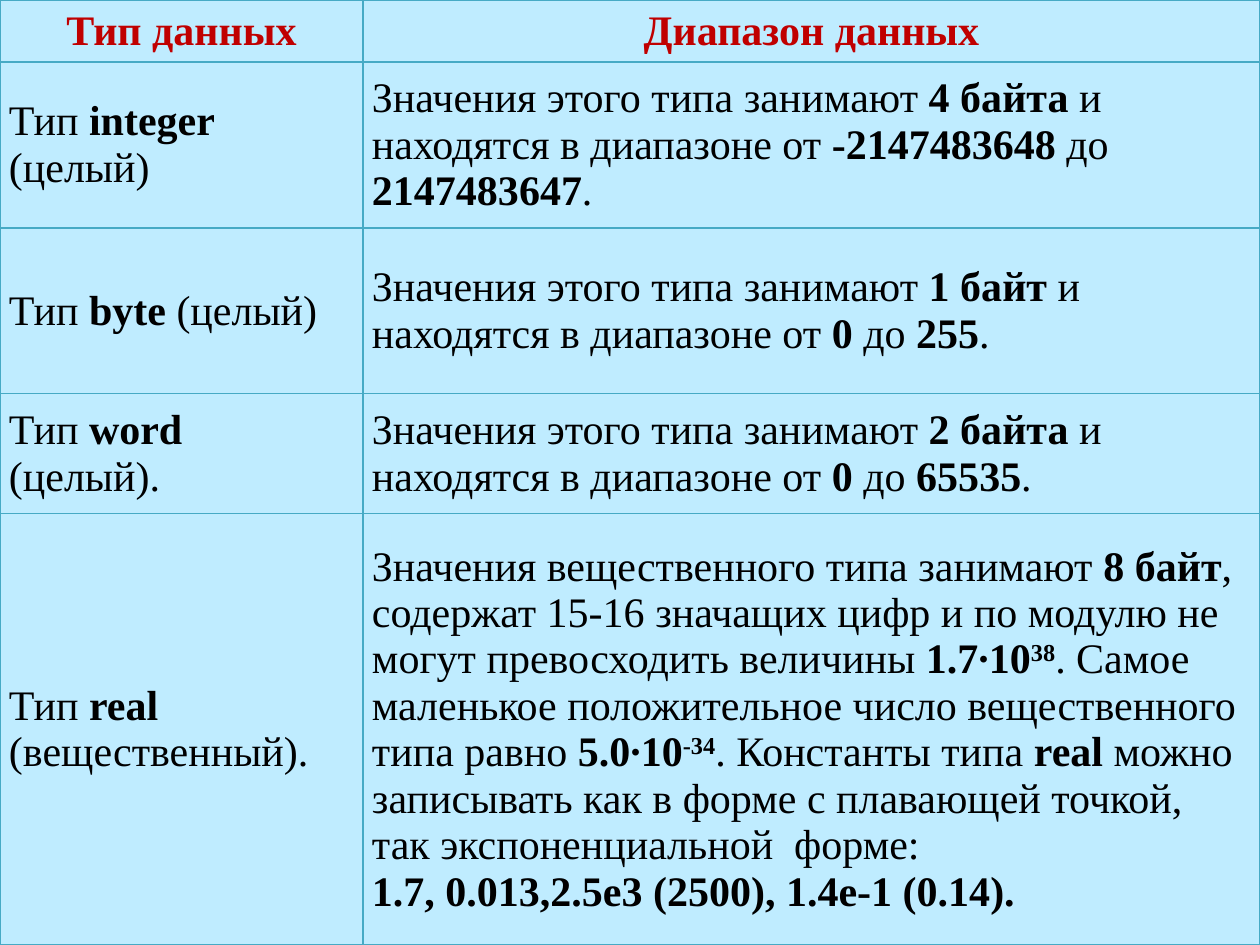
from dataclasses import dataclass

from lxml import etree
from pptx import Presentation
from pptx.dml.color import RGBColor
from pptx.enum.text import MSO_ANCHOR, PP_ALIGN
from pptx.oxml.ns import qn
from pptx.util import Pt

MIDDLE = MSO_ANCHOR.MIDDLE
LEFT, CENTER = PP_ALIGN.LEFT, PP_ALIGN.CENTER
BLANK_LAYOUT = 6
EMU_PER_PX = 914400 / 126


@dataclass(frozen=True)
class Theme:
    font: str = "Times New Roman"
    size: int = 24
    header: str = "C00000"
    text: str = "000000"
    fill: str = "BFECFF"
    border: str = "46AAC5"
    border_pt: float = 0.75


THEME = Theme()
SLIDE_W, SLIDE_H = 1260, 945
COLUMNS = [363, 897]
ROWS = [62, 166, 166, 120, 431]
MARGIN_X, MARGIN_Y = 9, 4

# Markup: *bold*, ^superscript^; a new line starts a paragraph
RANGE = "Значения этого типа занимают *{} *и находятся в диапазоне от {}."
TYPES = [
    ("*Тип данных*", "*Диапазон данных*"),
    ("Тип\u00a0*integer *(целый)",
     RANGE.format("4 байта", "*-2147483648 *до *2147483647*")),
    ("Тип\u00a0*byte *(целый)", RANGE.format("1 байт", "*0* до *255*")),
    ("Тип\u00a0*word*\n(целый).", RANGE.format("2 байта", "*0* до *65535*")),
    ("Тип\u00a0*real*\n(вещественный).",
     "Значения вещественного типа занимают *8 байт*, содержат 15-16 значащих "
     "цифр и по модулю не могут превосходить величины *1.7\u221910^38^*. "
     "Самое маленькое положительное число вещественного типа равно "
     "*5.0\u221910^-34^*. Константы типа\u00a0*real *можно записывать как в "
     "форме с плавающей точкой, так экспоненциальной \u00a0форме:\u00a0\n"
     "*1.7,\u00a00.013,2.5e3\u00a0(2500),\u00a01.4e-1\u00a0(0.14).*"),
]


def px(n):
    return round(n * EMU_PER_PX)


def add_runs(p, markup, color):
    for i, part in enumerate(markup.split("*")):
        for j, text in enumerate(part.split("^")):
            if not text:
                continue
            r = p.add_run()
            r.text = text
            r.font.name, r.font.size = THEME.font, Pt(THEME.size)
            r.font.bold = i % 2 == 1
            r.font.color.rgb = RGBColor.from_string(color)
            if j % 2:
                r.font._element.set("baseline", "30000")


def set_borders(cell):
    tcPr = cell._tc.get_or_add_tcPr()
    for i, side in enumerate(("lnL", "lnR", "lnT", "lnB")):
        ln = etree.Element(qn("a:" + side), w=str(Pt(THEME.border_pt)))
        fill = etree.SubElement(ln, qn("a:solidFill"))
        etree.SubElement(fill, qn("a:srgbClr"), val=THEME.border)
        tcPr.insert(i, ln)


def fill_cell(cell, markup, color, align):
    cell.vertical_anchor = MIDDLE
    cell.margin_left = cell.margin_right = px(MARGIN_X)
    cell.margin_top = cell.margin_bottom = px(MARGIN_Y)
    cell.fill.solid()
    cell.fill.fore_color.rgb = RGBColor.from_string(THEME.fill)
    set_borders(cell)
    tf = cell.text_frame
    for i, line in enumerate(markup.split("\n")):
        p = tf.add_paragraph() if i else tf.paragraphs[0]
        p.alignment = align
        add_runs(p, line, color)


def add_types_table(s, x, y, w, h):
    table = s.shapes.add_table(len(ROWS), len(COLUMNS),
                               px(x), px(y), px(w), px(h)).table
    table.horz_banding = False
    # Columns and rows share the box in proportion
    for column, width in zip(table.columns, COLUMNS):
        column.width = px(w * width / sum(COLUMNS))
    for row, height in zip(table.rows, ROWS):
        row.height = px(h * height / sum(ROWS))
    for i, texts in enumerate(TYPES):
        color, align = (THEME.text, LEFT) if i else (THEME.header, CENTER)
        for cell, markup in zip(table.rows[i].cells, texts):
            fill_cell(cell, markup, color, align)


prs = Presentation()
prs.slide_width, prs.slide_height = px(SLIDE_W), px(SLIDE_H)
s = prs.slides.add_slide(prs.slide_layouts[BLANK_LAYOUT])
add_types_table(s, 0, 0, SLIDE_W, SLIDE_H)
prs.save("out.pptx")
